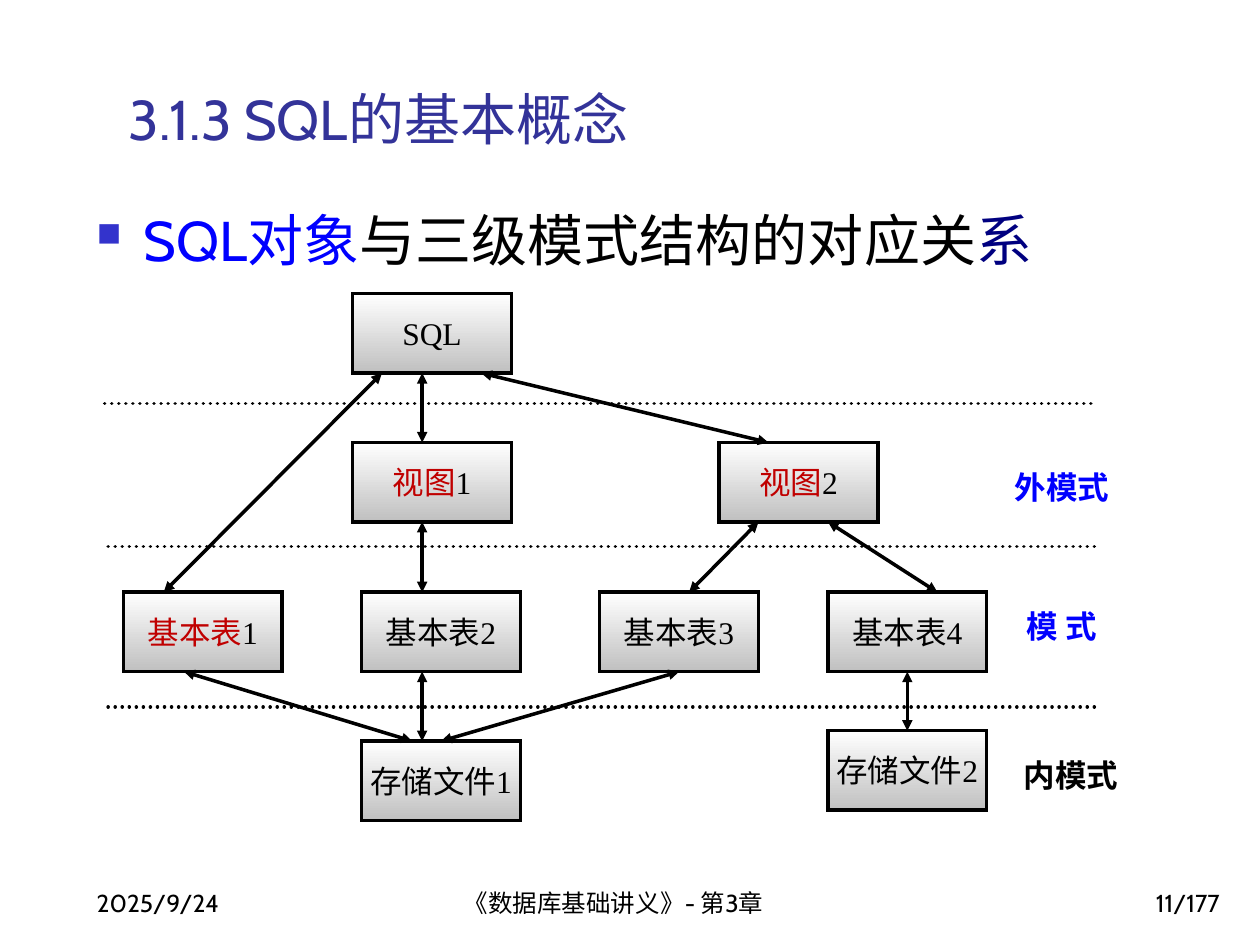
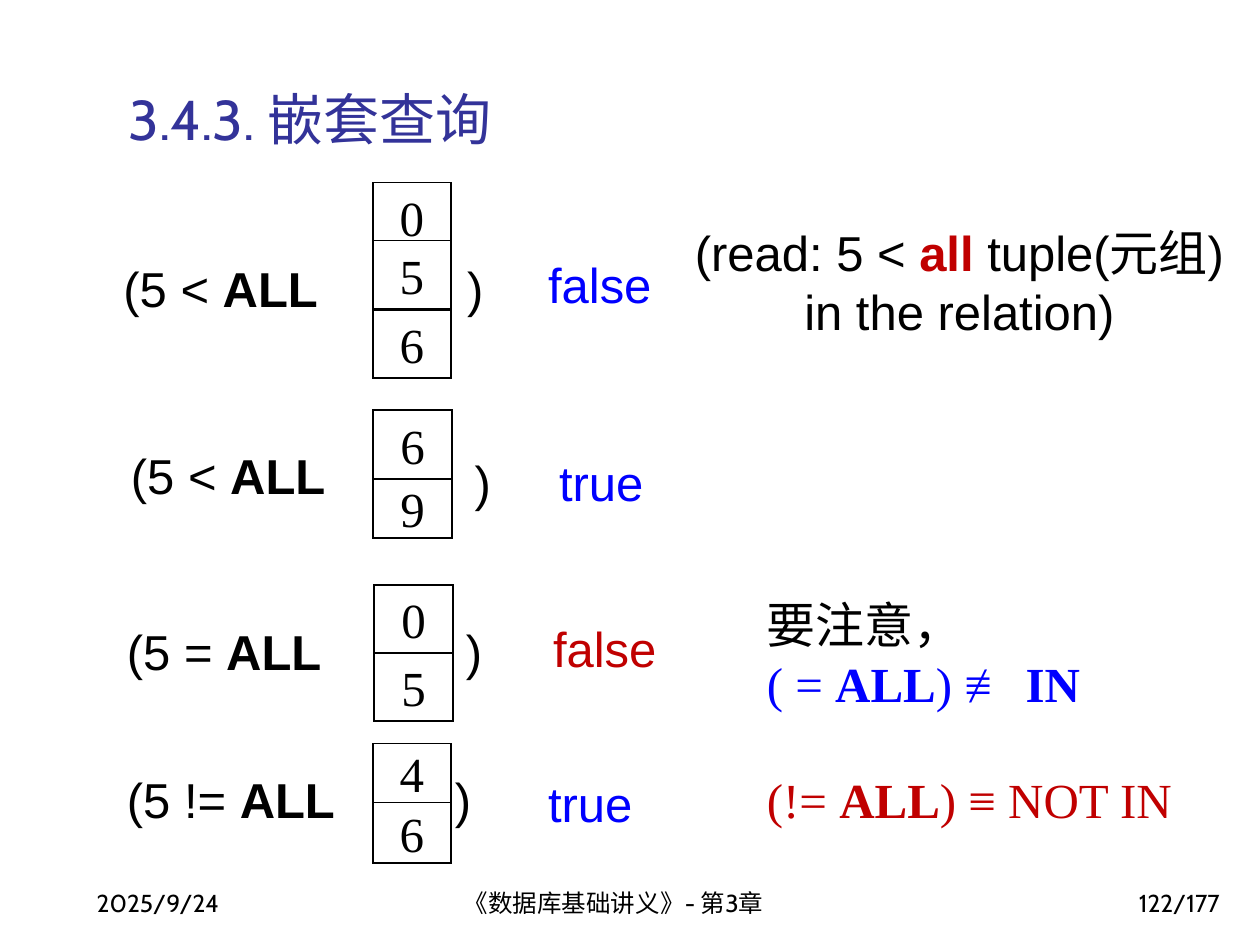
import pptx
import pptx.dml.color
import pptx.enum.dml
import pptx.enum.shapes
import pptx.enum.text
import pptx.oxml.ns
import pptx.util
from lxml import etree
from pptx.util import Cm

COLORS = {
    "black": "000000",
    "white": "FFFFFF",
    "grey": "C0C0C0",
    "title": "333399",
    "bullet": "3333CC",
    "blue": "0000FF",
    "navy": "000080",
    "red": "C00000",
}
TITLE_FONT = "Cabin"
DIAGRAM_FONT = "Times New Roman"
FORMULA_FONT = "Arial"
ALIGN = pptx.enum.text.PP_ALIGN
ANCHOR = pptx.enum.text.MSO_ANCHOR
BOX_WIDTH, BOX_HEIGHT = 3.2, 1.6


def rgb(name):
    return pptx.dml.color.RGBColor.from_string(COLORS[name])


def add_element(parent, tag, **attributes):
    return etree.SubElement(parent, pptx.oxml.ns.qn(tag), attributes)


def write_text(shape, *paragraphs, font, size, align=ALIGN.LEFT,
               anchor=ANCHOR.TOP, wrap=True, gaps=()):
    """Each paragraph is a list of (text, colour, bold) runs; gaps are points before each."""
    frame = shape.text_frame
    frame.word_wrap = wrap
    frame.vertical_anchor = anchor
    for index, runs in enumerate(paragraphs):
        paragraph = frame.paragraphs[0] if index == 0 else frame.add_paragraph()
        paragraph.alignment = align
        if index < len(gaps) and gaps[index]:
            paragraph.space_before = pptx.util.Pt(gaps[index])
        for text, color, bold in runs:
            run = paragraph.add_run()
            run.text = text
            run.font.name = font
            run.font.size = pptx.util.Pt(size)
            run.font.bold = bold
            run.font.color.rgb = rgb(color)


def add_text(slide, left, top, width, height, *paragraphs, **text_format):
    box = slide.shapes.add_textbox(Cm(left), Cm(top), Cm(width), Cm(height))
    write_text(box, *paragraphs, **text_format)
    return box


def add_rectangle(slide, left, top, width, height, runs, size, line_width):
    shape = slide.shapes.add_shape(pptx.enum.shapes.MSO_SHAPE.RECTANGLE,
                                   Cm(left), Cm(top), Cm(width), Cm(height))
    shape.shadow.inherit = False
    shape.fill.solid()
    shape.fill.fore_color.rgb = rgb("white")
    shape.line.color.rgb = rgb("black")
    shape.line.width = pptx.util.Pt(line_width)
    add_element(shape.line._get_or_add_ln(), "a:miter", lim="800000")
    write_text(shape, runs, font=DIAGRAM_FONT, size=size, align=ALIGN.CENTER,
               anchor=ANCHOR.MIDDLE, wrap=False)
    return shape


def add_diagram_box(slide, left, top, runs):
    box = add_rectangle(slide, left, top, BOX_WIDTH, BOX_HEIGHT, runs, 18, 2)
    box.fill.gradient()
    box.fill.gradient_angle = 270
    for stop, position, color in zip(box.fill.gradient_stops, (0, 1), ("white", "grey")):
        stop.position = position
        stop.color.rgb = rgb(color)
    return box


def add_line(slide, start, end, dotted=False, arrows=False):
    """Draw a line between two (x, y) points given as lengths."""
    line = slide.shapes.add_connector(pptx.enum.shapes.MSO_CONNECTOR.STRAIGHT, *start, *end)
    line.line.color.rgb = rgb("black")
    line.line.width = pptx.util.Pt(2)
    outline = line.line._get_or_add_ln()
    if dotted:
        line.line.dash_style = pptx.enum.dml.MSO_LINE.ROUND_DOT
        outline.set("cap", "rnd")
    if arrows:
        add_element(outline, "a:headEnd", type="triangle")
        add_element(outline, "a:tailEnd", type="triangle")
    add_element(line._element.spPr, "a:effectLst")


def link_boxes(slide, upper, upper_x, lower, lower_x):
    """Join the bottom edge of one box to the top edge of another."""
    add_line(slide, (Cm(upper_x), upper.top + upper.height),
             (Cm(lower_x), lower.top), arrows=True)


def add_bullet(paragraph):
    properties = paragraph._p.get_or_add_pPr()
    properties.set("marL", str(Cm(0.95)))
    properties.set("indent", str(-Cm(0.95)))
    color = add_element(properties, "a:buClr")
    add_element(color, "a:srgbClr", val=COLORS["bullet"])
    add_element(properties, "a:buSzPct", val="60000")
    add_element(properties, "a:buChar", char="■")


def start_slide(presentation, title, page):
    slide = presentation.slides.add_slide(presentation.slide_layouts[6])
    add_text(slide, 2.34, 1.07, 22.5, 2.11, [(title, "title", False)],
             font=TITLE_FONT, size=32, anchor=ANCHOR.BOTTOM)
    footers = (
        (1.7, 5.28, "2025/9/24", ALIGN.LEFT),
        (9.1, 8.05, "《数据库基础讲义》- 第3章", ALIGN.LEFT),
        (19.56, 5.28, f"{page}/177", ALIGN.RIGHT),
    )
    for left, width, text, align in footers:
        add_text(slide, left, 17.35, width, 1.27, [(text, "black", False)],
                 font=TITLE_FONT, size=14, align=align, anchor=ANCHOR.BOTTOM)
    return slide


def build_schema_slide(presentation):
    slide = start_slide(presentation, "3.1.3 SQL的基本概念", 11)
    heading = add_text(
        slide, 1.7, 4.01, 23.19, 13,
        [("SQL对象", "blue", False), ("与三级模式结构的对应关", "black", False),
         ("系", "navy", False)],
        font=TITLE_FONT, size=32)
    add_bullet(heading.text_frame.paragraphs[0])

    def box(left, top, name, number="", name_color="black"):
        runs = [(name, name_color, False)]
        if number:
            runs.append((number, "black", False))
        return add_diagram_box(slide, left, top, runs)

    sql = box(7.11, 5.92, "SQL")
    view_1, view_2 = (box(left, 8.92, "视图", number, "red")
                      for left, number in ((7.11, "1"), (14.5, "2")))
    table_1 = box(2.49, 11.94, "基本表", "1", "red")
    table_2, table_3, table_4 = (
        box(left, 11.94, "基本表", number)
        for left, number in ((7.29, "2"), (12.09, "3"), (16.69, "4")))
    file_1 = box(7.29, 14.94, "存储文件", "1")
    file_2 = box(16.69, 14.73, "存储文件", "2")

    links = (
        (sql, 7.7, table_1, 3.3),
        (sql, 8.51, view_1, 8.51),
        (sql, 9.7, view_2, 15.49),
        (view_1, 8.51, table_2, 8.51),
        (view_2, 15.29, table_3, 13.89),
        (view_2, 16.69, table_4, 18.9),
        (table_1, 3.71, file_1, 8.31),
        (table_2, 8.51, file_1, 8.51),
        (table_3, 13.69, file_1, 8.89),
        (table_4, 18.29, file_2, 18.29),
    )
    for link in links:
        link_boxes(slide, *link)

    for left, y in ((2.11, 8.13), (2.18, 11.02), (2.18, 14.25)):
        add_line(slide, (Cm(left), Cm(y)), (Cm(left + 20), Cm(y)), dotted=True)

    levels = ((19.91, 9.32, "外模式", "blue"), (19.91, 12.12, "模 式", "blue"),
              (20.09, 15.11, "内模式", "black"))
    for left, top, name, color in levels:
        add_text(slide, left, top, 3, 1.02, [(name, color, True)],
                 font=DIAGRAM_FONT, size=18, align=ALIGN.CENTER)


def add_comparison(slide, operator, expression_at, column, cells, bracket_at,
                   verdict, verdict_color, verdict_at):
    """One row: (5 <operator> ALL, a column of values, closing bracket, result."""
    left, width = column
    for value, top, height in cells:
        add_rectangle(slide, left, top, width, height, [(value, "black", False)], 28, 1)
    formula = {"font": FORMULA_FONT, "size": 28}
    add_text(slide, *expression_at, 5.5, 1.45,
             [(f"(5 {operator} ", "black", False), ("ALL", "black", True)], **formula)
    add_text(slide, *bracket_at, 1, 1.45, [(")", "black", False)], **formula)
    add_text(slide, *verdict_at, 2.6, 1.45, [(verdict, verdict_color, False)],
             wrap=False, **formula)


def build_all_quantifier_slide(presentation):
    slide = start_slide(presentation, "3.4.3. 嵌套查询", 122)
    comparisons = (
        ("<", (2.24, 5.08), (7.52, 1.57),
         (("0", 3.68, 1.37), ("5", 4.85, 1.37), ("6", 6.25, 1.37)),
         (9.17, 5.08), "false", "blue", (10.8, 5)),
        ("<", (2.39, 8.86), (7.52, 1.6),
         (("6", 8.26, 1.4), ("9", 9.65, 1.19)),
         (9.32, 8.99), "true", "blue", (11.02, 8.99)),
        ("=", (2.31, 12.4), (7.54, 1.6),
         (("0", 11.79, 1.37), ("5", 13.16, 1.37)),
         (9.14, 12.4), "false", "red", (10.9, 12.34)),
        ("!=", (2.31, 15.39), (7.52, 1.57),
         (("4", 14.99, 1.19), ("6", 16.18, 1.22)),
         (8.92, 15.39), "true", "blue", (10.8, 15.47)),
    )
    for comparison in comparisons:
        add_comparison(slide, *comparison)

    add_text(slide, 13.28, 4.37, 12.12, 2.62,
             [("(read: 5 < ", "black", False), ("all ", "red", True),
              ("tuple(元组) in the relation)", "black", False)],
             font=FORMULA_FONT, size=28, align=ALIGN.CENTER)
    add_text(slide, 15.21, 11.86, 8.79, 5.61,
             [("要注意，", "black", False)],
             [("( = ", "blue", False), ("ALL", "blue", True),
              (") ≢ ", "blue", False), ("IN", "blue", True)],
             [("(!= ", "red", False), ("ALL", "red", True), (") ≡ NOT IN", "red", False)],
             font=DIAGRAM_FONT, size=28, gaps=(0, 0, 33))


def main():
    presentation = pptx.Presentation()
    presentation.slide_width = Cm(25.4)
    presentation.slide_height = Cm(19.05)
    build_schema_slide(presentation)
    build_all_quantifier_slide(presentation)
    presentation.save("out.pptx")


if __name__ == "__main__":
    main()
